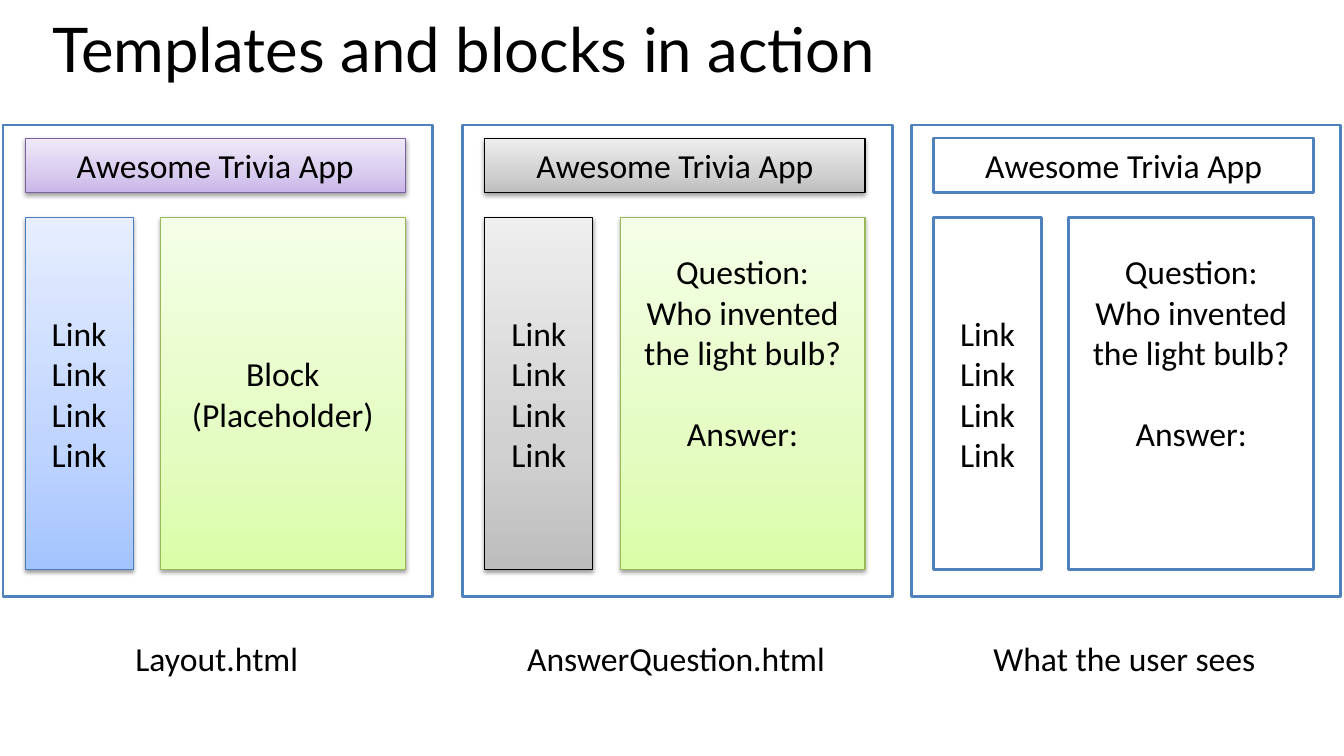
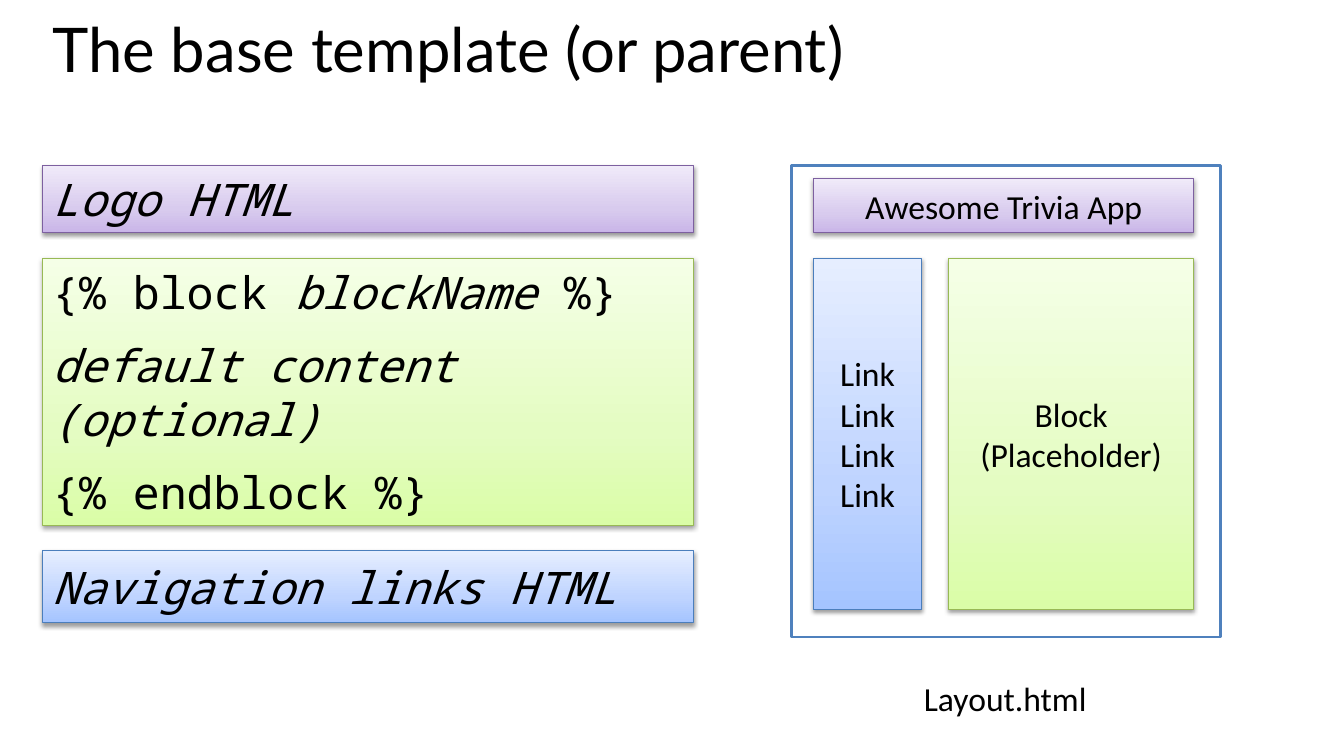
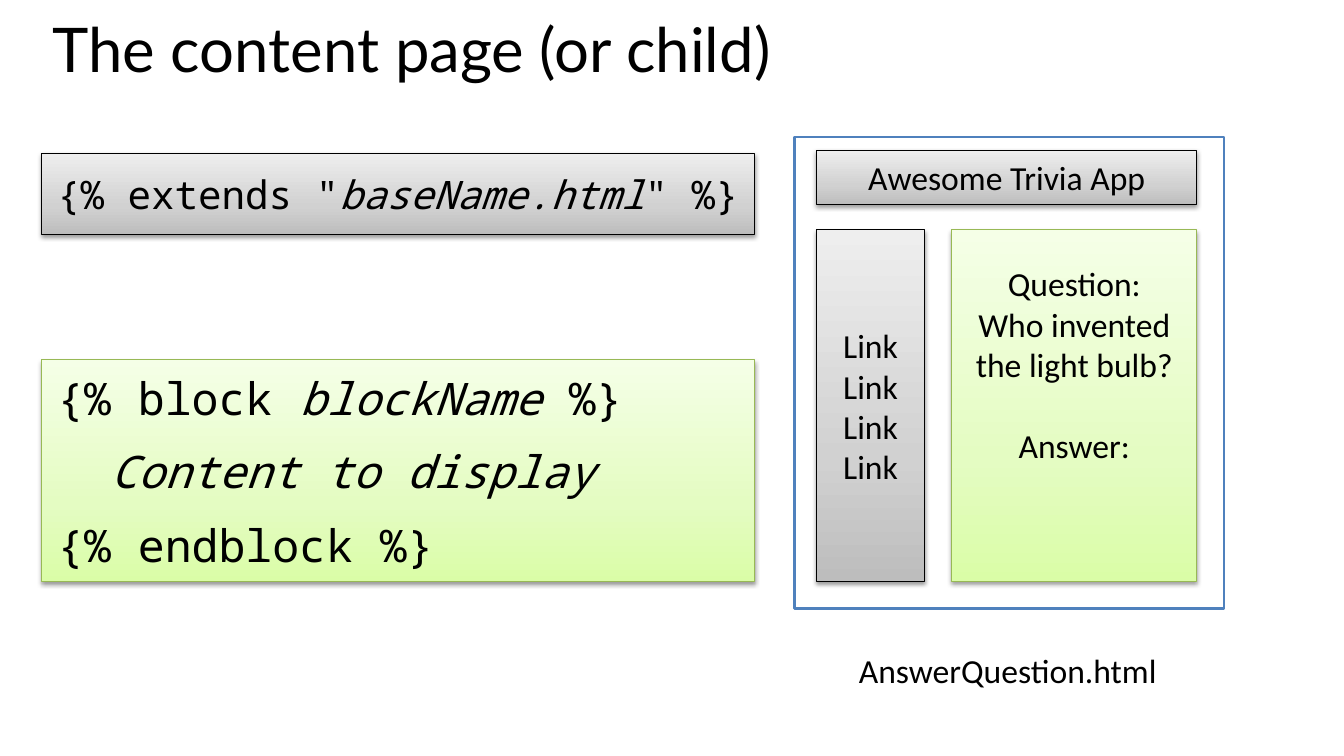
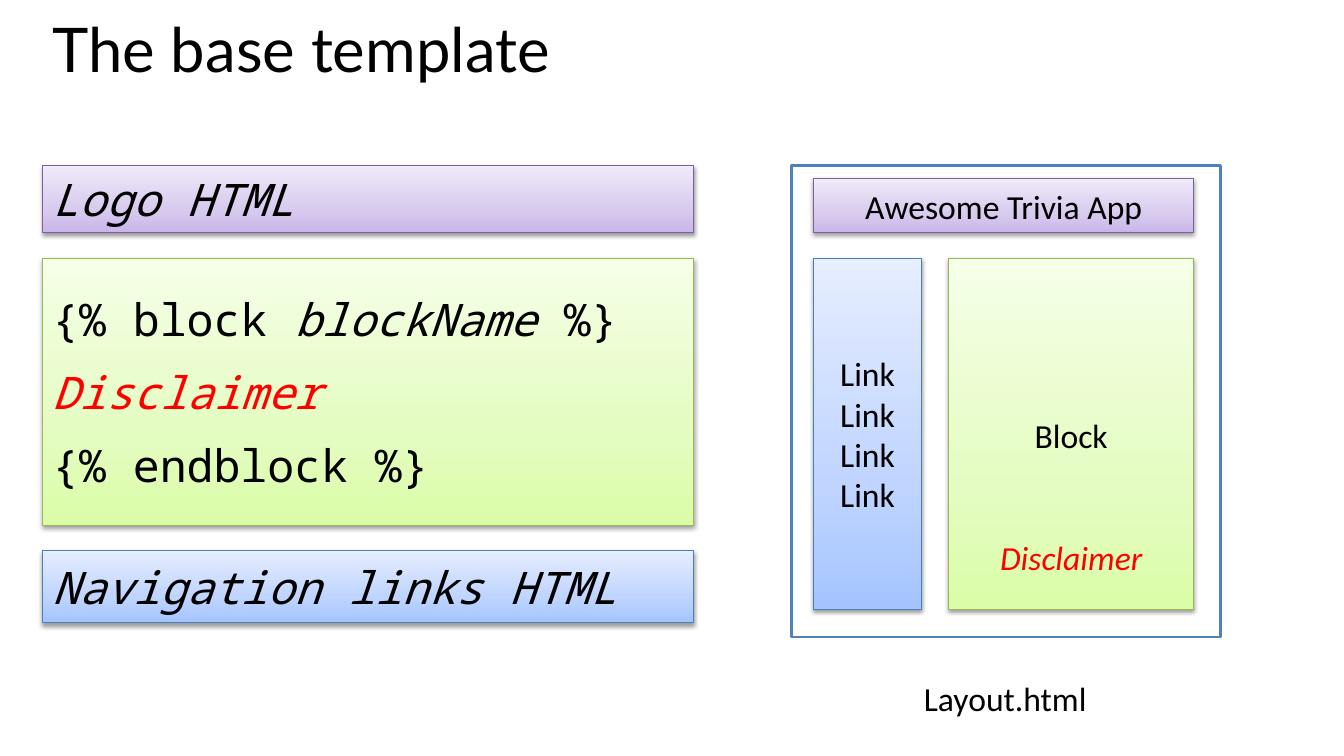
from copy import deepcopy
from dataclasses import dataclass

from pptx import Presentation
from pptx.dml.color import RGBColor
from pptx.enum import shapes, text
from pptx.oxml import parse_xml
from pptx.oxml.ns import nsdecls, qn
from pptx.util import Inches, Pt

# Shared style
BODY, CODE, HEAD = "Calibri", "Noto Sans Mono", "Lato"
BLACK, RED = "000000", "FF0000"
LINE_GAP = 29.3  # height of one 24 pt line, in points
LINE_IN = 0.41   # the same in inches
STOPS = (0, 0.35, 1)

# Each theme: line colour, line width, fill colours from bottom to top
PLAIN = ("4F81BD", 2, ["FFFFFF"])
PURPLE = ("7D60A0", 0.75, ["C9B5E8", "D8CBEE", "F0EAF9"])
BLUE = ("4B7EBC", 0.75, ["A4C4FF", "BFD4FF", "E6EEFF"])
GREEN = ("98B955", 0.75, ["DAFDA7", "E4FCC2", "F5FFE7"])
GREY = (BLACK, 0.75, ["BDBDBD", "D1D1D1", "EEEEEE"])


@dataclass
class Para:
    """One paragraph; parts between asterisks are italic."""
    text: str
    before: float = 0
    indent: float = 0
    color: str = BLACK


@dataclass
class Block:
    """Content of the main area, with extra room above and below in lines."""
    paras: list
    above: int = 0
    below: int = 0


PLACEHOLDER = Block([Para("Block"), Para("(Placeholder)")])
QUESTION = Block([Para("Question:"), Para("Who invented the light bulb?"),
                  Para("Answer:", before=LINE_GAP)], below=2)
DISCLAIMER = Block([Para("Block"),
                    Para("*Disclaimer*", before=2 * LINE_GAP, color=RED)], above=3)


def rgb(value):
    return RGBColor.from_string(value)


def style_font(font, name, size, color=BLACK):
    font.name, font.size = name, Pt(size)
    font.color.rgb = rgb(color)


def write(tf, paras, name, size, align):
    for i, para in enumerate(paras):
        p = tf.paragraphs[0] if i == 0 else tf.add_paragraph()
        p.alignment = align
        p.space_before = Pt(para.before)
        if para.indent:
            pPr = p._p.get_or_add_pPr()
            pPr.set("marL", str(Inches(para.indent)))
            pPr.set("indent", "0")
        for k, part in enumerate(para.text.split("*")):
            if part:
                r = p.add_run()
                r.text = part
                style_font(r.font, name, size, para.color)
                r.font.italic = k % 2 == 1


def add_box(s, x, y, w, h, theme):
    line, width, fills = theme
    sp = s.shapes.add_shape(shapes.MSO_SHAPE.RECTANGLE,
                            Inches(x), Inches(y), Inches(w), Inches(h))
    sp.line.color.rgb = rgb(line)
    sp.line.width = Pt(width)
    sp.shadow.inherit = False
    if len(fills) == 1:
        sp.fill.solid()
        sp.fill.fore_color.rgb = rgb(fills[0])
    else:
        shade(sp, fills)
    sp.text_frame.word_wrap = True
    sp.text_frame.vertical_anchor = text.MSO_ANCHOR.MIDDLE
    return sp


def shade(sp, fills):
    """Three-stop vertical gradient and a soft shadow below."""
    sp.fill.gradient()
    sp.fill.gradient_angle = 90
    spPr = sp._element.spPr
    stops = spPr.find(".//" + qn("a:gsLst"))
    stops.insert(1, deepcopy(stops[0]))
    for stop, position, color in zip(sp.fill.gradient_stops, STOPS, fills):
        stop.position = position
        stop.color.rgb = rgb(color)
    spPr.find(qn("a:effectLst")).append(parse_xml(
        f'<a:outerShdw {nsdecls("a")} blurRad="40000" dist="20000" dir="5400000" '
        'rotWithShape="0"><a:srgbClr val="000000"><a:alpha val="38000"/>'
        '</a:srgbClr></a:outerShdw>'))


def add_page(s, x, y, caption, caption_w, themes, block):
    """Web page sketch: frame, caption, header, link column and main block."""
    w = 4.26
    header, links, main = themes
    center = text.PP_ALIGN.CENTER
    add_box(s, x, y, w, 4.68, PLAIN)

    tb = s.shapes.add_textbox(Inches(x + (w - caption_w) / 2), Inches(y + 5.04),
                              Inches(caption_w), Inches(0.5))
    tb.text_frame.word_wrap = False
    write(tb.text_frame, [Para(caption)], BODY, 24, text.PP_ALIGN.LEFT)

    sp = add_box(s, x + 0.22, y + 0.13, 3.77, 0.54, header)
    write(sp.text_frame, [Para("Awesome Trivia App")], BODY, 24, center)
    sp = add_box(s, x + 0.22, y + 0.92, 1.07, 3.49, links)
    write(sp.text_frame, [Para("Link")] * 4, BODY, 24, center)
    sp = add_box(s, x + 1.56, y + 0.92, 2.43, 3.49, main)
    tf = sp.text_frame
    tf.margin_top = Inches(0.05 + block.above * LINE_IN)
    tf.margin_bottom = Inches(0.05 + block.below * LINE_IN)
    write(tf, block.paras, BODY, 24, center)


def add_layout_page(s, x, y, block=PLACEHOLDER):
    add_page(s, x, y, "Layout.html", 1.83, (PURPLE, BLUE, GREEN), block)


def add_answer_page(s, x, y):
    add_page(s, x, y, "AnswerQuestion.html", 3.18, (GREY, GREY, GREEN), QUESTION)


def add_code(s, x, y, w, h, theme, lines, size=32):
    """Coloured box of template code."""
    sp = add_box(s, x, y, w, h, theme)
    for line in lines:
        line.before = 14
    write(sp.text_frame, lines, CODE, size, text.PP_ALIGN.LEFT)


def add_title_slide(prs, title):
    s = prs.slides.add_slide(prs.slide_layouts[5])
    sp = s.shapes.title
    sp.left, sp.top, sp.width, sp.height = map(Inches, (0.42, 0.2, 12.6, 1.16))
    tf = sp.text_frame
    tf.text = title
    tf.vertical_anchor = text.MSO_ANCHOR.TOP
    p = tf.paragraphs[0]
    p.alignment = text.PP_ALIGN.LEFT
    p.line_spacing = 0.8
    style_font(p.runs[0].font, HEAD, 44)
    return s


def overview_slide(prs):
    s = add_title_slide(prs, "Templates and blocks in action")
    y = 1.24
    add_layout_page(s, 0.03, y)
    add_answer_page(s, 4.59, y)
    add_page(s, 9.04, y, "What the user sees", 2.83, (PLAIN,) * 3, QUESTION)


def base_slide(prs, title, content, block):
    s = add_title_slide(prs, title)
    x, y, w = 0.42, 1.64, 6.46
    add_layout_page(s, 7.85, y, block)
    add_code(s, x, y, w, 0.67, PURPLE, [Para("*Logo HTML*")])
    add_code(s, x, y + 0.92, w, 2.65, GREEN,
             [Para("{% block *blockName *%}"), content, Para("{% endblock %}")])
    add_code(s, x, y + 3.82, w, 0.72, BLUE, [Para("*Navigation links HTML*")])


def child_slide(prs):
    s = add_title_slide(prs, "The content page (or child)")
    x, w, indent = 0.41, 7.07, 0.06
    add_answer_page(s, 7.88, 1.36)
    add_code(s, x, 1.52, w, 0.81, GREY,
             [Para('{% extends "*baseName.html*" %}', indent=indent)], size=28)
    add_code(s, x, 3.57, w, 2.2, GREEN,
             [Para("{% block *blockName *%}", indent=indent),
              Para("*Content to display*", indent=indent + 0.53),
              Para("{% endblock %}", indent=indent)])


def main():
    prs = Presentation()
    prs.slide_width, prs.slide_height = Inches(13.33), Inches(7.5)
    overview_slide(prs)
    base_slide(prs, "The base template (or parent)",
               Para("*default content (optional)*"), PLACEHOLDER)
    child_slide(prs)
    base_slide(prs, "The base template",
               Para("*Disclaimer*", color=RED), DISCLAIMER)
    prs.save("out.pptx")


if __name__ == "__main__":
    main()
